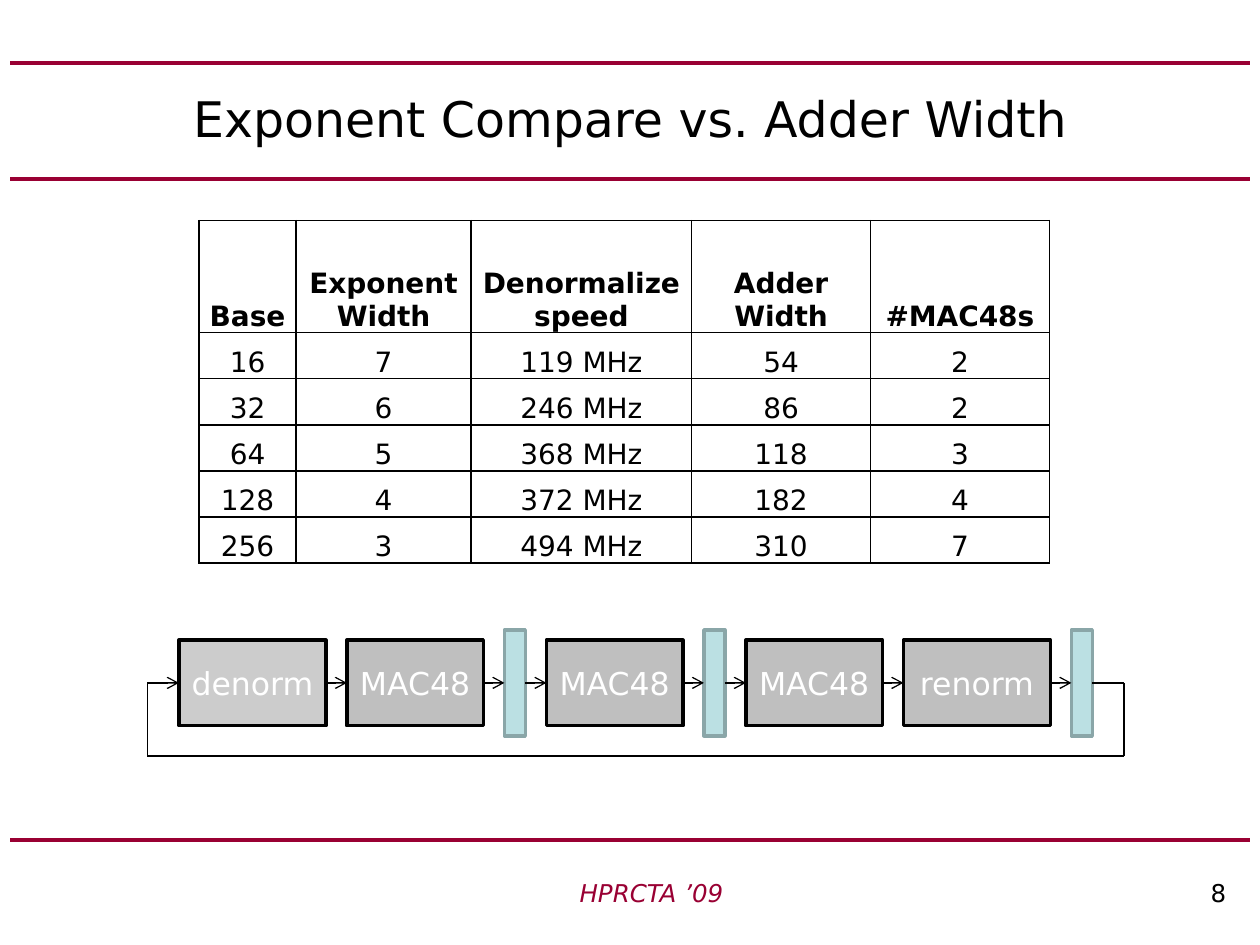
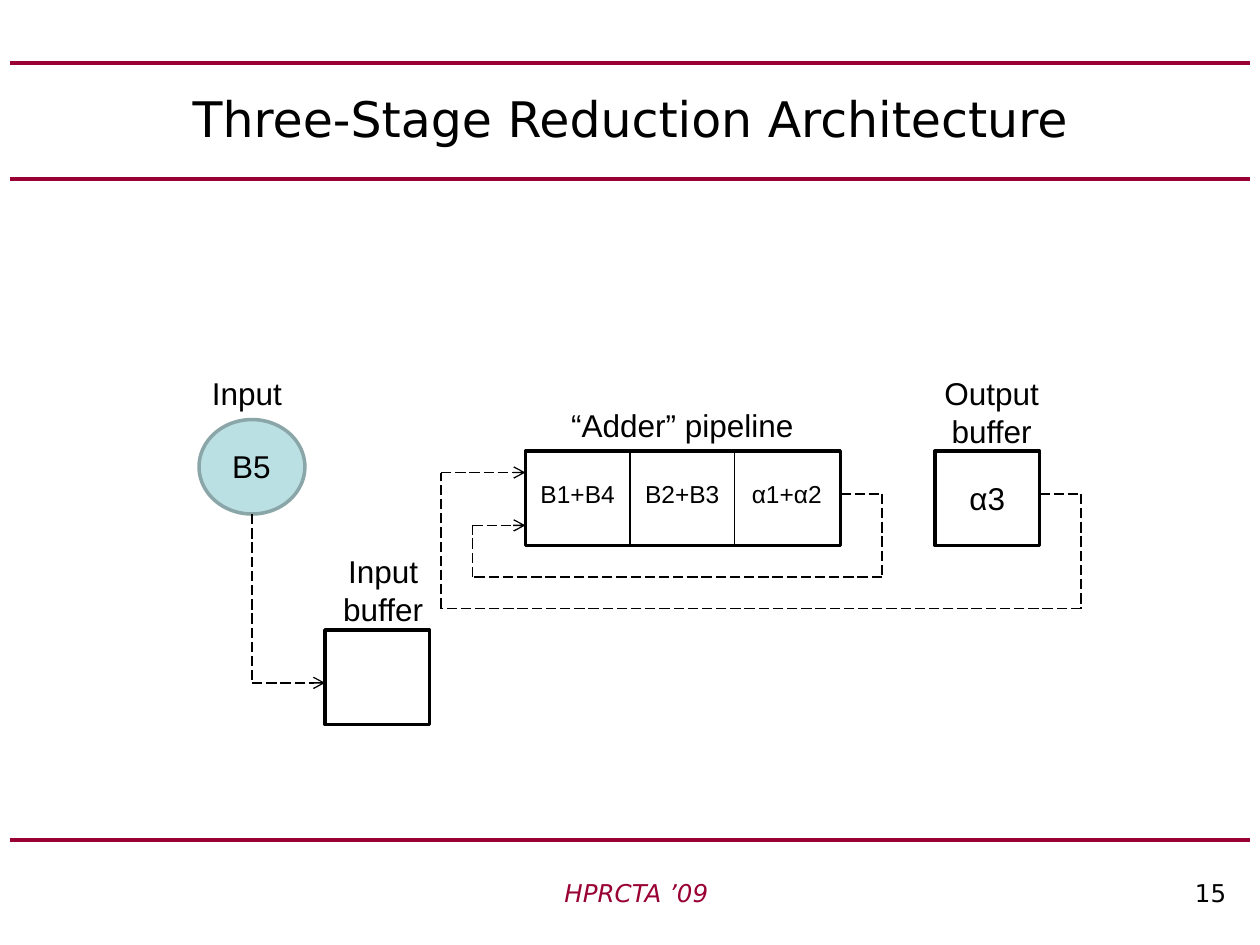
from lxml import etree
from pptx import Presentation
from pptx.dml.color import RGBColor
from pptx.enum.dml import MSO_LINE
from pptx.enum.shapes import MSO_CONNECTOR, MSO_SHAPE
from pptx.enum.text import MSO_ANCHOR, PP_ALIGN
from pptx.oxml.ns import qn
from pptx.util import Inches, Pt

STRAIGHT = MSO_CONNECTOR.STRAIGHT
RECTANGLE, ELLIPSE = MSO_SHAPE.RECTANGLE, MSO_SHAPE.OVAL
LONG_DASH = MSO_LINE.LONG_DASH
TOP, MIDDLE, BOTTOM = MSO_ANCHOR.TOP, MSO_ANCHOR.MIDDLE, MSO_ANCHOR.BOTTOM
CENTER, RIGHT = PP_ALIGN.CENTER, PP_ALIGN.RIGHT
LEFT_SIDE, RIGHT_SIDE = 1, 3

COLORS = {
    "maroon": "990033",
    "black": "000000",
    "white": "FFFFFF",
    "light_gray": "CCCCCC",
    "gray": "BFBFBF",
    "teal": "BBE0E3",
    "teal_edge": "8AA6A8",
}
SANS, ARIAL = "DejaVu Sans", "Arial"


def set_text(frame, text, size=18, font=SANS, color="black", bold=False, italic=False, align=CENTER):
    frame.text = text
    for paragraph in frame.paragraphs:
        paragraph.alignment = align
        for run in paragraph.runs:
            run.font.name = font
            run.font.size = Pt(size)
            run.font.bold = bold
            run.font.italic = italic
            run.font.color.rgb = RGBColor.from_string(COLORS[color])


def add_path(slide, points, width=0.75, color="black", dash=None, arrow=False, begin=None, end=None):
    connectors = []
    for start, stop in zip(points, points[1:]):
        connector = slide.shapes.add_connector(STRAIGHT, *[Inches(value) for value in start + stop])
        connector.line.width = Pt(width)
        connector.line.color.rgb = RGBColor.from_string(COLORS[color])
        if dash:
            connector.line.dash_style = dash
        etree.SubElement(connector._element.spPr, qn("a:effectLst"))
        connectors.append(connector)
    if arrow:
        etree.SubElement(connectors[-1].line._get_or_add_ln(), qn("a:tailEnd"), type="arrow")
    if begin:
        connectors[0].begin_connect(begin, RIGHT_SIDE)
    if end:
        connectors[-1].end_connect(end, LEFT_SIDE)


presentation = Presentation()
presentation.slide_width = Inches(10)
presentation.slide_height = Inches(7.5)

slides = []
labels = []
for title, number, footer_left in (
    ("Exponent Compare vs. Adder Width", "8", 3.75),
    ("Three-Stage Reduction Architecture", "15", 3.63),
):
    slide = presentation.slides.add_slide(presentation.slide_layouts[6])
    slides.append(slide)
    for rule_top in (0.5, 1.42, 6.67):
        add_path(slide, [(0.08, rule_top), (9.92, rule_top)], width=2.25, color="maroon")
    labels += [
        (slide, title, (0.5, 0.5, 9, 0.87), MIDDLE, {"size": 28}),
        (slide, "HPRCTA ’09", (footer_left, 6.92, 2.09, 0.33), TOP,
         {"size": 14, "color": "maroon", "italic": True, "align": RIGHT}),
        (slide, number, (8.83, 6.92, 1, 0.33), TOP, {"size": 14, "align": RIGHT}),
    ]
compare_slide, reduction_slide = slides

rows = [
    ("Base", "Exponent Width", "Denormalize speed", "Adder Width", "#MAC48s"),
    ("16", "7", "119 MHz", "54", "2"),
    ("32", "6", "246 MHz", "86", "2"),
    ("64", "5", "368 MHz", "118", "3"),
    ("128", "4", "372 MHz", "182", "4"),
    ("256", "3", "494 MHz", "310", "7"),
]
column_widths = (0.77, 1.39, 1.75, 1.42, 1.42)
TABLE_HEIGHT, HEADER_HEIGHT = 2.72, 0.89
body_row_height = (TABLE_HEIGHT - HEADER_HEIGHT) / (len(rows) - 1)
table = compare_slide.shapes.add_table(
    len(rows), len(column_widths), Inches(1.58), Inches(1.75), Inches(6.75), Inches(TABLE_HEIGHT)
).table
table.first_row = False
table.horz_banding = False
for column, width in zip(table.columns, column_widths):
    column.width = Inches(width)
for row_index, values in enumerate(rows):
    header = row_index == 0
    table.rows[row_index].height = Inches(HEADER_HEIGHT if header else body_row_height)
    for column_index, value in enumerate(values):
        cell = table.cell(row_index, column_index)
        cell.margin_left = cell.margin_right = Inches(0.07)
        cell.margin_top = cell.margin_bottom = 0
        cell.vertical_anchor = BOTTOM
        set_text(cell.text_frame, value, size=16, bold=header)
        for side in ("a:lnL", "a:lnR", "a:lnT", "a:lnB"):
            border = etree.SubElement(cell._tc.get_or_add_tcPr(), qn(side), w=str(Pt(1)))
            border_fill = etree.SubElement(border, qn("a:solidFill"))
            etree.SubElement(border_fill, qn("a:srgbClr"), val=COLORS["black"])
        cell.fill.background()

GAP = 1 / 6
stages = [
    ("denorm", 7 * GAP, "light_gray"),
    ("MAC48", 6.5 * GAP, "gray"),
    ("", GAP, "teal"),
    ("MAC48", 6.5 * GAP, "gray"),
    ("", GAP, "teal"),
    ("MAC48", 6.5 * GAP, "gray"),
    ("renorm", 7 * GAP, "gray"),
    ("", GAP, "teal"),
]
boxes = []
stage_left = 1.42
for name, width, fill in stages:
    top, height, edge = (5.08, 0.68, "black") if name else (5, 0.84, "teal_edge")
    boxes.append((compare_slide, RECTANGLE, (stage_left, top, width, height), fill, edge, name))
    stage_left += width + GAP
boxes += [
    (reduction_slide, ELLIPSE, (1.58, 3.33, 0.84, 0.75), "teal", "teal_edge", ""),
    (reduction_slide, RECTANGLE, (4.17, 3.58, 2.5, 0.75), "white", "black", ""),
    (reduction_slide, RECTANGLE, (2.58, 5, 0.83, 0.75), "white", "black", ""),
    (reduction_slide, RECTANGLE, (7.42, 3.58, 0.83, 0.75), None, "black", ""),
]

stage_shapes = []
for slide, kind, place, fill, edge, name in boxes:
    shape = slide.shapes.add_shape(kind, *[Inches(value) for value in place])
    shape.shadow.inherit = False
    if fill:
        shape.fill.solid()
        shape.fill.fore_color.rgb = RGBColor.from_string(COLORS[fill])
    else:
        shape.fill.background()
    shape.line.width = Pt(2)
    shape.line.color.rgb = RGBColor.from_string(COLORS[edge])
    if name:
        shape.text_frame.margin_left = shape.text_frame.margin_right = Inches(0.05)
        set_text(shape.text_frame, name, color="white")
    if slide is compare_slide:
        stage_shapes.append(shape)

MIDLINE = 5.42
for before, after in zip(stage_shapes, stage_shapes[1:]):
    add_path(compare_slide, [(0, MIDLINE), (GAP, MIDLINE)], arrow=True, begin=before, end=after)
add_path(
    compare_slide,
    [(8.67, MIDLINE), (8.92, MIDLINE), (8.92, 6), (1.17, 6), (1.17, MIDLINE), (1.42, MIDLINE)],
    arrow=True, begin=stage_shapes[-1], end=stage_shapes[0],
)

for text, place in (
    ("“Adder” pipeline", (4.08, 3.17, 2.67, 0.4)),
    ("Input\nbuffer", (2.5, 4.33, 1.08, 0.71)),
    ("Output\nbuffer", (7.33, 2.92, 1.08, 0.71)),
    ("α3", (7.42, 3.75, 0.83, 0.4)),
    ("Input", (1.42, 2.92, 1.08, 0.4)),
    ("B5", (1.58, 3.5, 0.83, 0.4)),
):
    labels.append((reduction_slide, text, place, TOP, {"font": ARIAL}))
for left, text in zip((4.17, 5, 5.83), ("B1+B4", "B2+B3", "α1+α2")):
    labels.append((reduction_slide, text, (left, 3.75, 0.83, 0.34), TOP, {"font": ARIAL, "size": 14}))

for slide, text, place, anchor, text_format in labels:
    text_box = slide.shapes.add_textbox(*[Inches(value) for value in place])
    text_box.text_frame.word_wrap = True
    text_box.text_frame.vertical_anchor = anchor
    set_text(text_box.text_frame, text, **text_format)

for divider in (5, 5.83):
    add_path(reduction_slide, [(divider, 3.58), (divider, 4.33)])
for route in (
    [(6.67, 3.92), (7, 3.92), (7, 4.58), (3.75, 4.58), (3.75, 4.17), (4.17, 4.17)],
    [(8.25, 3.92), (8.58, 3.92), (8.58, 4.83), (3.5, 4.83), (3.5, 3.75), (4.17, 3.75)],
    [(2, 4.08), (2, 5.42), (2.58, 5.42)],
):
    add_path(reduction_slide, route, dash=LONG_DASH, arrow=True)

presentation.save("out.pptx")
